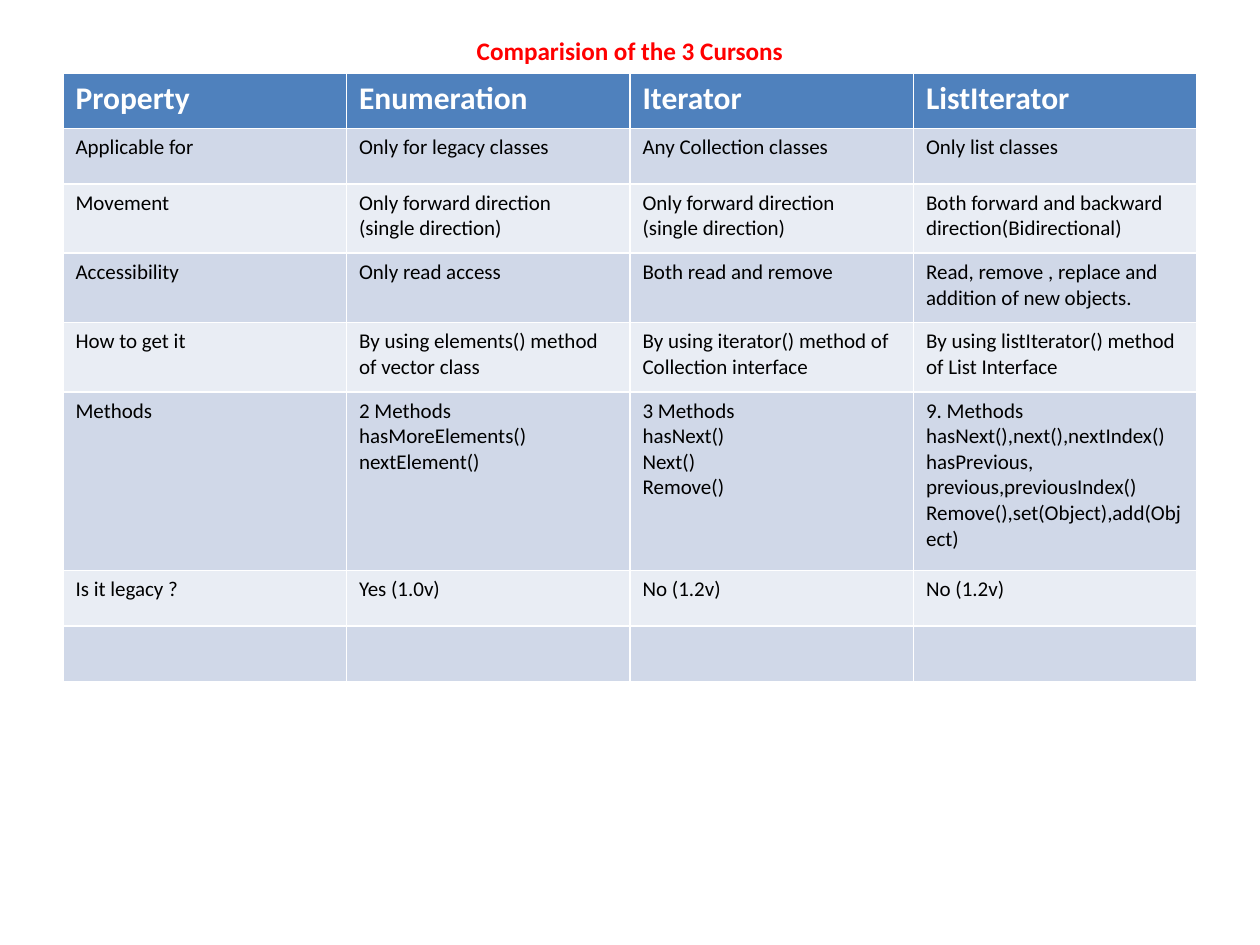
from dataclasses import dataclass

from pptx import Presentation
from pptx.dml.color import RGBColor
from pptx.enum import text
from pptx.util import Inches, Pt

FONT = "Calibri"
COLORS = {
    "title": "FF0000",
    "header": "4F81BD",
    "header_text": "FFFFFF",
    "body_text": "000000",
    "odd": "D0D8E8",
    "even": "E9EDF4",
}


@dataclass
class Style:
    size: float
    color: str
    bold: bool


@dataclass
class Row:
    height: float
    cells: tuple[str, ...]


TITLE = Style(14.4, "title", True)
HEADER = Style(18, "header_text", True)
BODY = Style(12, "body_text", False)

ROWS = [
    Row(0.44, ("Property", "Enumeration", "Iterator", "ListIterator")),
    Row(0.44, ("Applicable for", "Only for legacy classes",
               "Any Collection classes", "Only list classes")),
    Row(0.55, ("Movement",
               "Only forward direction\n(single direction)",
               "Only forward direction\n(single direction)",
               "Both forward and backward direction(Bidirectional)")),
    Row(0.55, ("Accessibility", "Only read access", "Both read and remove",
               "Read, remove , replace and addition of new objects.")),
    Row(0.55, ("How to get it",
               "By using elements() method of vector class",
               "By using iterator() method of Collection interface",
               "By using listIterator() method of List Interface")),
    Row(1.42, ("Methods",
               "2 Methods\nhasMoreElements()\nnextElement()",
               "3 Methods\nhasNext()\nNext()\nRemove()",
               "9. Methods\nhasNext(),next(),nextIndex()\n"
               "hasPrevious, previous,previousIndex()\n"
               "Remove(),set(Object),add(Object)")),
    Row(0.44, ("Is it legacy ?", "Yes (1.0v)", "No (1.2v)", "No (1.2v)")),
    Row(0.44, ("", "", "", "")),
]


def rgb(name: str) -> RGBColor:
    return RGBColor.from_string(COLORS[name])


def write(frame, words: str, style: Style) -> None:
    frame.text = words
    for paragraph in frame.paragraphs:
        font = paragraph.font
        font.name = FONT
        font.size = Pt(style.size)
        font.bold = style.bold
        font.color.rgb = rgb(style.color)


def add_title(slide, words: str) -> None:
    title = slide.shapes.title
    title.left, title.top = Inches(0.5), Inches(0.3)
    title.width, title.height = Inches(9), Inches(0.2)
    frame = title.text_frame
    write(frame, words, TITLE)
    frame.auto_size = text.MSO_AUTO_SIZE.NONE
    frame.vertical_anchor = text.MSO_ANCHOR.MIDDLE
    frame.paragraphs[0].alignment = text.PP_ALIGN.CENTER


def add_comparison(slide, rows: list[Row]) -> None:
    height = sum(row.height for row in rows)
    # The default table style supplies the white cell borders
    comparison = slide.shapes.add_table(
        len(rows), len(rows[0].cells),
        Inches(0.5), Inches(0.58), Inches(9), Inches(height)).table
    for index, row in enumerate(rows):
        comparison.rows[index].height = Inches(row.height)
        band = "header" if index == 0 else "odd" if index % 2 else "even"
        for cell, words in zip(comparison.rows[index].cells, row.cells):
            cell.fill.solid()
            cell.fill.fore_color.rgb = rgb(band)
            if words:
                write(cell.text_frame, words, BODY if index else HEADER)


def main() -> None:
    deck = Presentation()
    deck.slide_width, deck.slide_height = Inches(10), Inches(7.5)
    slide = deck.slides.add_slide(deck.slide_layouts[5])  # Title Only
    add_title(slide, "Comparision of the 3 Cursons")
    add_comparison(slide, ROWS)
    deck.save("out.pptx")


if __name__ == "__main__":
    main()
